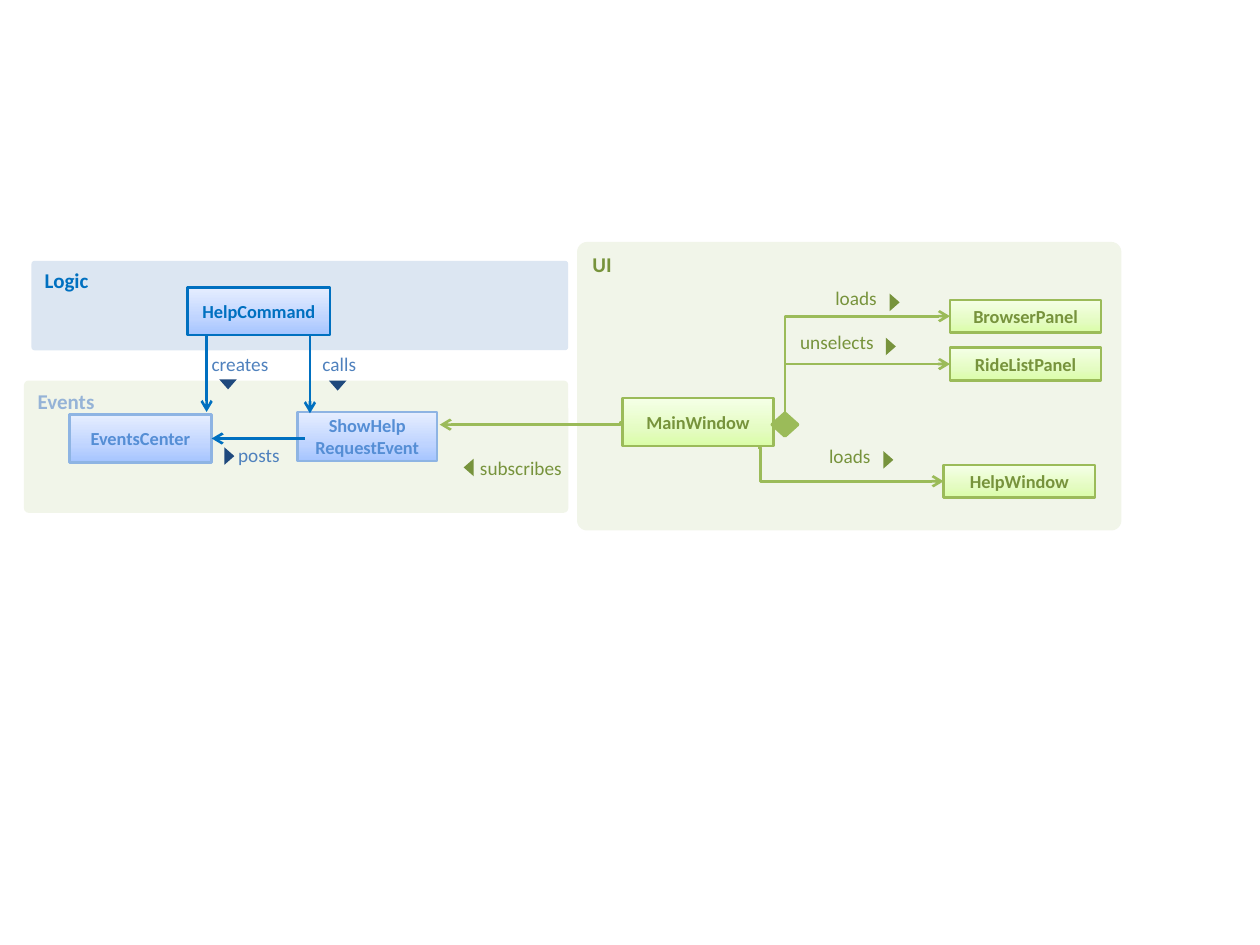
from copy import deepcopy
from dataclasses import dataclass

from lxml.etree import SubElement
from pptx import Presentation
from pptx.dml.color import RGBColor
from pptx.enum.shapes import MSO_CONNECTOR, MSO_SHAPE
from pptx.enum.text import MSO_ANCHOR, PP_ALIGN
from pptx.oxml.ns import qn
from pptx.util import Inches, Pt

BLUE = RGBColor(0x00, 0x70, 0xC0)
LABEL_BLUE = RGBColor(0x4F, 0x81, 0xBD)
NAVY = RGBColor(0x1F, 0x49, 0x7D)
EVENT_TITLE = RGBColor(0x95, 0xB3, 0xD7)
EVENT_LINE = RGBColor(0x8E, 0xB4, 0xE3)
EVENT_TEXT = RGBColor(0x55, 0x8E, 0xD5)
GREEN = RGBColor(0x9B, 0xBB, 0x59)
DARK_GREEN = RGBColor(0x77, 0x93, 0x3C)
LOGIC_FILL = RGBColor(0xDC, 0xE6, 0xF2)
PALE_GREEN = RGBColor(0xF1, 0xF5, 0xE9)
BLUE_FADE = [RGBColor(0xA4, 0xC4, 0xFF), RGBColor(0xBF, 0xD4, 0xFF), RGBColor(0xE6, 0xEE, 0xFF)]
GREEN_FADE = [RGBColor(0xDA, 0xFD, 0xA7), RGBColor(0xE4, 0xFC, 0xC2), RGBColor(0xF5, 0xFF, 0xE7)]
FADE_POSITIONS = [0, 0.35, 1]

TITLE_FONT = {"name": "Calibri", "size": Pt(12), "bold": True}
CLASS_FONT = {"name": "Calibri", "size": Pt(10.5), "bold": True}
LABEL_FONT = {"name": "Calibri", "size": Pt(11)}
NO_MARGINS = {f"margin_{side}": 0 for side in ("left", "top", "right", "bottom")}

RIGHT, DOWN, LEFT = 90, 180, 270  # rotation of an upright triangle


@dataclass
class Panel:
    title: str
    at: tuple
    fill: RGBColor
    color: RGBColor


@dataclass
class ClassBox:
    name: str
    at: tuple
    fade: list
    line: RGBColor
    color: RGBColor


@dataclass
class Arrow:
    start: tuple
    end: tuple
    color: RGBColor
    bend: float | None = None  # share of the width where an elbow turns


@dataclass
class Label:
    text: str
    at: tuple
    color: RGBColor
    marker_at: tuple
    direction: int
    marker_color: RGBColor


def green_box(name: str, left: float, top: float, height: float = 0.26) -> ClassBox:
    return ClassBox(name, (left, top, 1.2, height), GREEN_FADE, GREEN, DARK_GREEN)


def green_label(text: str, at: tuple, marker_at: tuple, direction: int = RIGHT) -> Label:
    return Label(text, at, DARK_GREEN, marker_at, direction, DARK_GREEN)


def blue_label(text: str, at: tuple, marker_at: tuple, direction: int = DOWN) -> Label:
    return Label(text, at, LABEL_BLUE, marker_at, direction, NAVY)


PANELS = [
    Panel("Logic", (0.25, 2.07, 4.26, 0.71), LOGIC_FILL, BLUE),
    Panel("UI", (4.58, 1.92, 4.32, 2.29), PALE_GREEN, DARK_GREEN),
    Panel("Events", (0.19, 3.02, 4.32, 1.05), PALE_GREEN, EVENT_TITLE),
]
CLASSES = [
    green_box("MainWindow", 4.94, 3.16, 0.38),
    green_box("BrowserPanel", 7.54, 2.38),
    green_box("RideListPanel", 7.54, 2.76),
    green_box("HelpWindow", 7.49, 3.69),
    ClassBox("HelpCommand", (1.49, 2.28, 1.13, 0.38), BLUE_FADE, BLUE, BLUE),
    ClassBox("EventsCenter", (0.55, 3.29, 1.13, 0.38), BLUE_FADE, EVENT_LINE, EVENT_TEXT),
    ClassBox("ShowHelp\nRequestEvent", (2.36, 3.27, 1.11, 0.39), BLUE_FADE, EVENT_LINE, EVENT_TEXT),
]
ARROWS = [
    Arrow((6.23, 3.46), (7.54, 2.51), GREEN, 0),
    Arrow((6.23, 3.46), (7.54, 2.89), GREEN, 0),
    Arrow((6.02, 3.55), (7.49, 3.82), GREEN, 0.01),
    Arrow((2.46, 2.66), (2.46, 3.28), BLUE),
    Arrow((1.64, 2.66), (1.64, 3.27), BLUE),
]
LABELS = [
    green_label("loads", (6.63, 2.27, 0.53, 0.26), (7.03, 2.36)),
    green_label("unselects", (6.35, 2.62, 0.77, 0.22), (7, 2.71)),
    green_label("loads", (6.58, 3.53, 0.53, 0.26), (6.98, 3.61)),
    green_label("subscribes", (3.81, 3.62, 0.7, 0.26), (3.65, 3.67), LEFT),
    blue_label("calls", (2.56, 2.8, 0.53, 0.26), (2.61, 3.02)),
    blue_label("creates", (1.68, 2.8, 0.53, 0.26), (1.74, 3.01)),
    blue_label("posts", (1.89, 3.52, 0.53, 0.21), (1.75, 3.58), RIGHT),
]


def write(frame, text: str, font: dict, color: RGBColor, align=PP_ALIGN.LEFT) -> None:
    frame.text = text
    for paragraph in frame.paragraphs:
        paragraph.alignment = align
        for key, value in font.items():
            setattr(paragraph.font, key, value)
        paragraph.font.color.rgb = color


def add_plain(shapes, kind, at: tuple, fill: RGBColor):
    shape = shapes.add_shape(kind, *map(Inches, at))
    shape.shadow.inherit = False
    shape.fill.solid()
    shape.fill.fore_color.rgb = fill
    shape.line.fill.background()
    return shape


def draw_panel(shapes, panel: Panel) -> None:
    shape = add_plain(shapes, MSO_SHAPE.ROUNDED_RECTANGLE, panel.at, panel.fill)
    shape.adjustments[0] = 0.035
    shape.text_frame.vertical_anchor = MSO_ANCHOR.TOP
    write(shape.text_frame, panel.title, TITLE_FONT, panel.color)


def draw_class(shapes, box: ClassBox):
    shape = add_plain(shapes, MSO_SHAPE.RECTANGLE, box.at, box.fade[0])
    # Three-stop fade, running from bottom to top
    shape.fill.gradient()
    shape.fill.gradient_angle = 90
    first_stop = next(shape._element.iter(qn("a:gs")))
    first_stop.addnext(deepcopy(first_stop))
    for stop, color, position in zip(shape.fill.gradient_stops, box.fade, FADE_POSITIONS):
        stop.color.rgb = color
        stop.position = position
    shape.line.color.rgb = box.line
    shape.line.width = Pt(1.5)
    for key, value in NO_MARGINS.items():
        setattr(shape.text_frame, key, value)
    write(shape.text_frame, box.name, CLASS_FONT, box.color, PP_ALIGN.CENTER)
    return shape


def draw_arrow(shapes, arrow: Arrow):
    kind = MSO_CONNECTOR.STRAIGHT if arrow.bend is None else MSO_CONNECTOR.ELBOW
    connector = shapes.add_connector(kind, *map(Inches, arrow.start + arrow.end))
    connector.line.color.rgb = arrow.color
    connector.line.width = Pt(1.5)
    properties = connector._element.spPr
    SubElement(properties.find(qn("a:ln")), qn("a:tailEnd"), type="arrow")
    SubElement(properties, qn("a:effectLst"))
    if arrow.bend is not None:
        guides = properties.find(qn("a:prstGeom")).get_or_add_avLst()
        SubElement(guides, qn("a:gd"), name="adj1", fmla=f"val {round(arrow.bend * 100000)}")
    return connector


def draw_label(shapes, label: Label) -> None:
    group = shapes.add_group_shape().shapes
    frame = group.add_textbox(*map(Inches, label.at)).text_frame
    frame.word_wrap = True
    for key, value in NO_MARGINS.items():
        setattr(frame, key, value)
    write(frame, label.text, LABEL_FONT, label.color)
    marker = add_plain(group, MSO_SHAPE.ISOSCELES_TRIANGLE, label.marker_at + (0.14, 0.08), label.marker_color)
    marker.rotation = label.direction


def main() -> None:
    presentation = Presentation()
    presentation.slide_width, presentation.slide_height = Inches(10), Inches(7.5)
    shapes = presentation.slides.add_slide(presentation.slide_layouts[6]).shapes

    # Components and their classes
    for panel in PANELS:
        draw_panel(shapes, panel)
    boxes = {box.name: draw_class(shapes, box) for box in CLASSES}

    # Composition diamond of the main window
    diamond = add_plain(shapes, MSO_SHAPE.FLOWCHART_DECISION, (6.13, 3.28, 0.2, 0.18), GREEN)
    diamond.line.color.rgb = GREEN
    diamond.line.width = Pt(2)

    # Relations
    for arrow in ARROWS:
        draw_arrow(shapes, arrow)
    posts = draw_arrow(shapes, Arrow((2.42, 3.48), (1.68, 3.48), BLUE))
    posts.end_connect(boxes["EventsCenter"], 3)
    subscribes = draw_arrow(shapes, Arrow((4.94, 3.35), (3.49, 3.37), GREEN, 0.01))
    subscribes.begin_connect(boxes["MainWindow"], 1)

    # Relation names with their reading direction
    for label in LABELS:
        draw_label(shapes, label)
    presentation.save("out.pptx")


if __name__ == "__main__":
    main()
